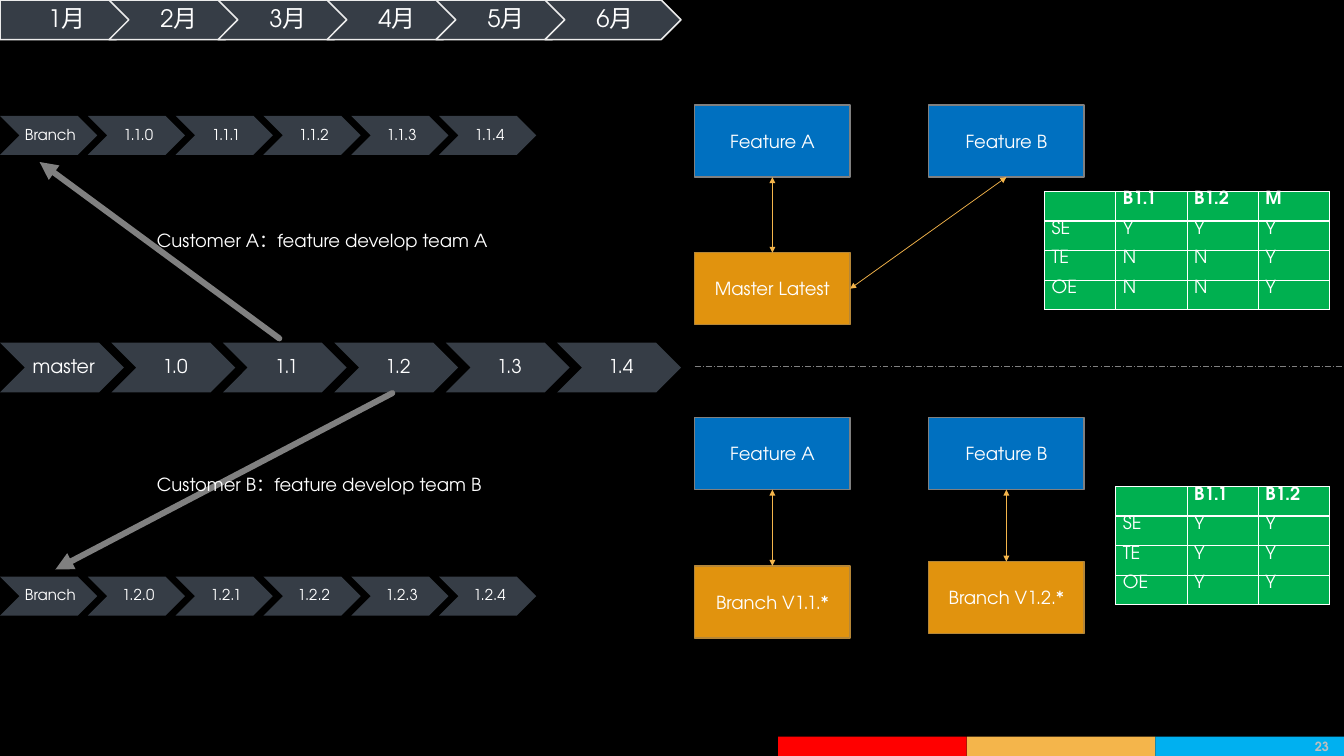
import pptx
import pptx.dml.color
import pptx.enum.dml
import pptx.enum.shapes
import pptx.enum.text
import pptx.oxml
import pptx.oxml.ns
import pptx.util

Inches = pptx.util.Inches
Pt = pptx.util.Pt
Color = pptx.dml.color.RGBColor.from_string
Shape = pptx.enum.shapes.MSO_SHAPE
Align = pptx.enum.text.PP_ALIGN
Anchor = pptx.enum.text.MSO_ANCHOR

theme = {
    "font": "TeX Gyre Adventor",
    "background": "000000", "text": "FFFFFF", "page number": "BFBFBF",
    "step": "363D46", "step edge": "EBEBEB", "gray": "808080",
    "feature": "0070C0", "target": "E1930E", "target edge": "B58637",
    "amber": "F4B54B", "red": "FF0000", "sky": "00B0F0", "table": "00B050",
    "month size": 24, "master size": 19, "body size": 18, "branch size": 15,
    "page size": 12.6,
}


def write(frame, text, size, color="text", align=Align.CENTER, bold=False):
    frame.text = text
    para = frame.paragraphs[0]
    para.alignment = align
    font = para.font
    if para.runs:
        font = para.runs[0].font
    font.name = theme["font"]
    font.size = Pt(theme[size])
    font.bold = bold
    font.color.rgb = Color(theme[color])
    return para


def add_line(start, end, color, width, heads=()):
    line = page.shapes.add_connector(
        pptx.enum.shapes.MSO_CONNECTOR.STRAIGHT,
        Inches(start[0]), Inches(start[1]), Inches(end[0]), Inches(end[1]))
    line.line.color.rgb = Color(theme[color])
    line.line.width = Pt(width)
    outline = line.line._get_or_add_ln()
    for head in heads:
        tip = pptx.oxml.parse_xml(
            f'<a:{head} {pptx.oxml.ns.nsdecls("a")} type="triangle"/>')
        outline.append(tip)
    line._element.spPr.append(pptx.oxml.parse_xml(
        f'<a:effectLst {pptx.oxml.ns.nsdecls("a")}/>'))
    return line


deck = pptx.Presentation()
deck.slide_width = Inches(18.67)
deck.slide_height = Inches(10.5)
page = deck.slides.add_slide(deck.slide_layouts[6])
page.background.fill.solid()
page.background.fill.fore_color.rgb = Color(theme["background"])

for position, color in enumerate(["red", "amber", "sky"]):
    band = page.shapes.add_shape(
        Shape.RECTANGLE, Inches(10.81 + 2.62 * position), Inches(10.23),
        Inches(2.62), Inches(0.27))
    band.shadow.inherit = False
    band.fill.solid()
    band.fill.fore_color.rgb = Color(theme[color])
    band.line.fill.background()

number = page.shapes.add_textbox(
    Inches(17.72), Inches(10.23), Inches(0.84), Inches(0.27))
number.text_frame.word_wrap = True
number.text_frame.vertical_anchor = Anchor.MIDDLE
write(number.text_frame, "23", "page size", "page number", Align.RIGHT, True)

timelines = [
    (["master", "1.0", "1.1", "1.2", "1.3", "1.4"],
     4.76, 7.74, 1.72, 0.69, "master size", (0.08, 0.03, 0.03, 0.03)),
    (["Branch", "1.1.0", "1.1.1", "1.1.2", "1.1.3", "1.1.4"],
     1.61, 6.1, 1.35, 0.54, "branch size", (0.07, 0.02, 0.02, 0.02)),
    (["Branch", "1.2.0", "1.2.1", "1.2.2", "1.2.3", "1.2.4"],
     8.01, 6.1, 1.35, 0.54, "branch size", (0.07, 0.02, 0.02, 0.02)),
    (["1月", "2月", "3月", "4月", "5月", "6月"],
     0, 7.57, 1.89, 0.55, "month size", (0.1, 0.07, 0.04, 0.07)),
]
for labels, top, last_left, width, height, size, insets in timelines:
    months = size == "month size"
    pitch = last_left / (len(labels) - 1)
    for position, label in enumerate(labels):
        first_month = months and position == 0
        step = page.shapes.add_shape(
            Shape.PENTAGON if first_month else Shape.CHEVRON,
            Inches(pitch * position), Inches(top), Inches(width), Inches(height))
        step.shadow.inherit = False
        step.fill.solid()
        step.fill.fore_color.rgb = Color(theme["step"])
        if months:
            step.line.color.rgb = Color(theme["step edge"])
            step.line.width = Pt(1.5)
        else:
            step.line.fill.background()
        frame = step.text_frame
        frame.word_wrap = True
        frame.vertical_anchor = Anchor.MIDDLE
        frame.margin_left = Inches(0.14 if first_month else insets[0])
        frame.margin_top = Inches(insets[1])
        frame.margin_right = Inches(insets[2])
        frame.margin_bottom = Inches(insets[3])
        write(frame, label, size).line_spacing = 0.9

for start, end in [((3.88, 4.7), (0.55, 2.25)), ((5.45, 5.46), (0.77, 7.91))]:
    arrow = add_line(start, end, "gray", 6, ["tailEnd"])
    arrow.line._get_or_add_ln().set("cap", "rnd")

for text, top, width in [("Customer A：feature develop team A", 3.14, 4.88),
                         ("Customer B：feature develop team B", 6.53, 4.8)]:
    box = page.shapes.add_textbox(
        Inches(2.08), Inches(top), Inches(width), Inches(0.4))
    box.text_frame.word_wrap = True
    write(box.text_frame, text, "body size", align=Align.LEFT)

boxes = {}
for name, text, left, top, fill, edge in [
    ("top A", "Feature A", 9.65, 1.46, "feature", "gray"),
    ("top B", "Feature B", 12.9, 1.46, "feature", "gray"),
    ("master", "Master Latest", 9.65, 3.51, "target", "target edge"),
    ("low A", "Feature A", 9.65, 5.8, "feature", "gray"),
    ("low B", "Feature B", 12.9, 5.8, "feature", "gray"),
    ("branch 1", "Branch V1.1.*", 9.65, 7.86, "target", "target edge"),
    ("branch 2", "Branch V1.2.*", 12.9, 7.8, "target", "target edge"),
]:
    box = page.shapes.add_shape(
        Shape.RECTANGLE, Inches(left), Inches(top), Inches(2.16), Inches(1))
    box.shadow.inherit = False
    box.fill.solid()
    box.fill.fore_color.rgb = Color(theme[fill])
    box.line.color.rgb = Color(theme[edge])
    box.line.width = Pt(1.5)
    box.text_frame.word_wrap = True
    box.text_frame.vertical_anchor = Anchor.MIDDLE
    write(box.text_frame, text, "body size")
    boxes[name] = box

top_side, bottom_side, right_side = 0, 2, 3
for source, source_side, target in [
    ("master", top_side, "top A"), ("master", right_side, "top B"),
    ("branch 1", top_side, "low A"), ("branch 2", top_side, "low B"),
]:
    link = add_line((0, 0), (1, 1), "amber", 0.75, ["headEnd", "tailEnd"])
    link.begin_connect(boxes[source], source_side)
    link.end_connect(boxes[target], bottom_side)

divider = add_line((9.65, 5.09), (18.67, 5.09), "gray", 0.75)
divider.line.dash_style = pptx.enum.dml.MSO_LINE.LONG_DASH_DOT

for left, top, rows in [
    (14.51, 2.66, [["", "B1.1", "B1.2", "M"], ["SE", "Y", "Y", "Y"],
                   ["TE", "N", "N", "Y"], ["OE", "N", "N", "Y"]]),
    (15.5, 6.76, [["", "B1.1", "B1.2"], ["SE", "Y", "Y"],
                  ["TE", "Y", "Y"], ["OE", "Y", "Y"]]),
]:
    columns = len(rows[0])
    table = page.shapes.add_table(
        len(rows), columns, Inches(left), Inches(top),
        Inches(0.99 * columns), Inches(0.41 * len(rows))).table
    table.horz_banding = False
    for row, values in enumerate(rows):
        for column, value in enumerate(values):
            cell = table.cell(row, column)
            cell.margin_top = cell.margin_bottom = 0
            write(cell.text_frame, value, "body size", align=Align.LEFT, bold=row == 0)
            for side in "LRTB":
                weight = 2 if (row, side) in [(0, "B"), (1, "T")] else 1
                cell._tc.get_or_add_tcPr().append(pptx.oxml.parse_xml(
                    f'<a:ln{side} {pptx.oxml.ns.nsdecls("a")} w="{Pt(weight)}">'
                    f'<a:solidFill><a:srgbClr val="{theme["text"]}"/></a:solidFill>'
                    f'</a:ln{side}>'))
            cell.fill.solid()
            cell.fill.fore_color.rgb = Color(theme["table"])

deck.save("out.pptx")
